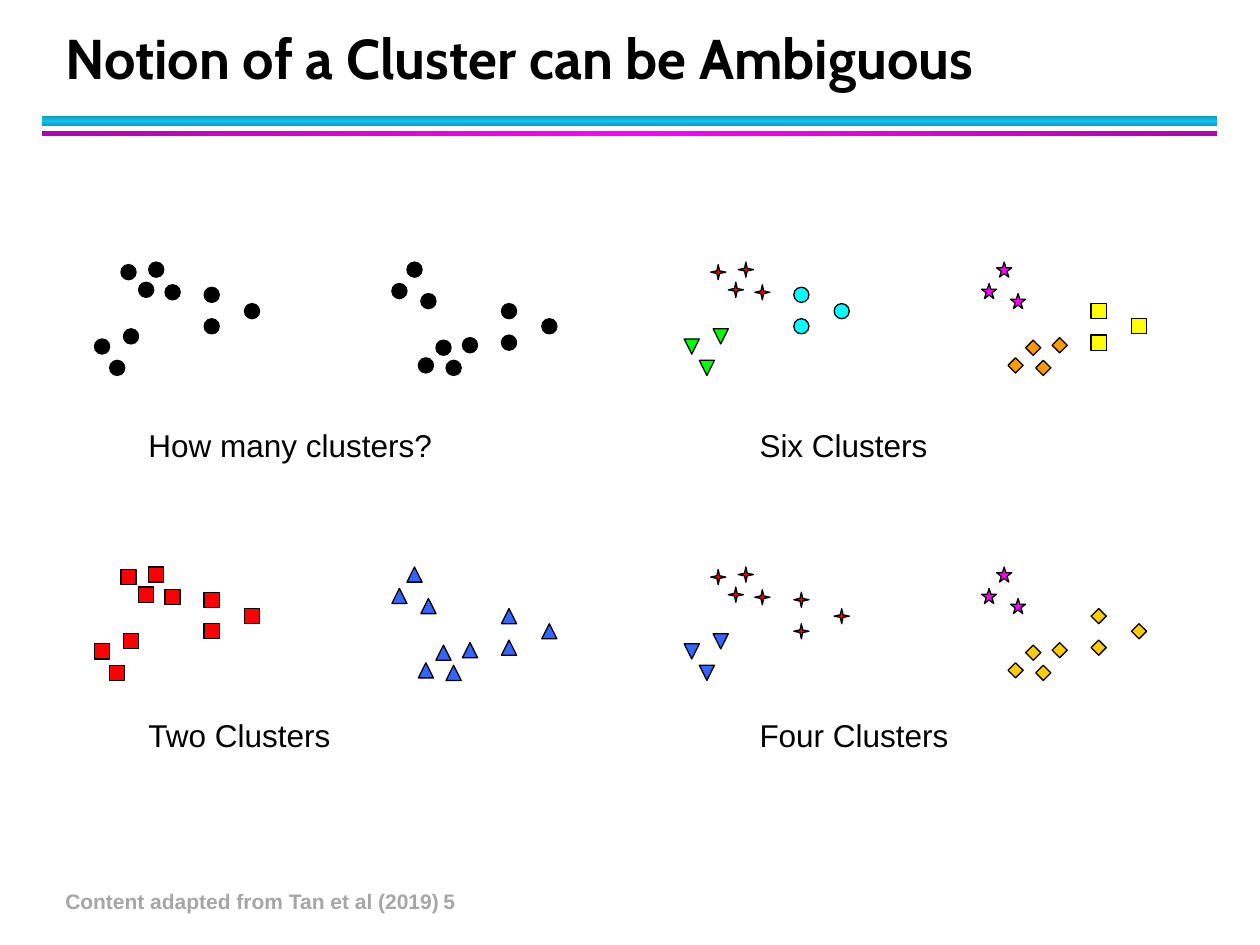
from copy import deepcopy
from pptx import Presentation, util as u
from pptx.dml.color import RGBColor
from pptx.enum import shapes, text
from pptx.oxml.ns import qn

BLACK = RGBColor(0, 0, 0)
GREY = RGBColor(0xA6, 0xA6, 0xA6)
RED = RGBColor(0xFF, 0, 0)
BLUE = RGBColor(0x33, 0x66, 0xFF)
GREEN = RGBColor(0, 0xFF, 0)
CYAN = RGBColor(0, 0xFF, 0xFF)
PINK = RGBColor(0xFF, 0, 0xFF)
YELLOW = RGBColor(0xFF, 0xFF, 0)
ORANGE = RGBColor(0xFF, 0x99, 0)
GOLD = RGBColor(0xFF, 0xCC, 0)
TEAL = RGBColor(0x0E, 0x9B, 0xBA)
SKY = RGBColor(0x12, 0xC2, 0xE9)
PLUM = RGBColor(0xB2, 0, 0xB2)

FORM = shapes.MSO_SHAPE
DOT = 0.12
SHIFT, DROP = 2.36, 0.78
COLS, ROWS = (0.75, 5.43), (2.08, 4.5)
BLOBS = (
    ((0.56, 0.18), (0.21, 0.02), (0.43, 0), (0.35, 0.16)),
    ((0.23, 0.53), (0, 0.61), (0.12, 0.78)),
    ((0.87, 0.2), (1.19, 0.33), (0.87, 0.45)),
)

BALL = (FORM.OVAL, BLACK, 0)
BOX = (FORM.RECTANGLE, RED, 0)
PEAK = (FORM.ISOSCELES_TRIANGLE, BLUE, 0)
SPARK = (FORM.STAR_4_POINT, RED, 0)
STAR = (FORM.STAR_5_POINT, PINK, 0)
GEM = (FORM.DIAMOND, GOLD, 0)

PANELS = (
    (0, 0, "How many clusters?", (BALL,) * 3, (BALL,) * 3),
    (1, 0, "Six Clusters",
     (SPARK, (FORM.ISOSCELES_TRIANGLE, GREEN, 180), (FORM.OVAL, CYAN, 0)),
     ((FORM.DIAMOND, ORANGE, 0), STAR, (FORM.RECTANGLE, YELLOW, 0))),
    (0, 1, "Two Clusters", (BOX,) * 3, (PEAK,) * 3),
    (1, 1, "Four Clusters",
     (SPARK, (FORM.FLOWCHART_EXTRACT, BLUE, 180), SPARK), (GEM, STAR, GEM)),
)


def inch(*nums):
    """Turn numbers into inches."""
    return [u.Inches(n) for n in nums]


def label(host, box, words, size, font="Arial", color=BLACK, bold=False):
    """Place one line of text and return its frame."""
    frame = host.add_textbox(*inch(*box)).text_frame
    frame.word_wrap = True
    run = frame.paragraphs[0].add_run()
    run.text = words
    run.font.size, run.font.name = u.Pt(size), font
    run.font.color.rgb, run.font.bold = color, bold
    return frame


def bar(host, box, edge, mid, angle):
    """Draw a bar shaded from its edges to its middle."""
    shape = host.add_shape(FORM.RECTANGLE, *inch(*box))
    shape.shadow.inherit = False
    shape.line.fill.background()
    shape.fill.gradient()
    shape.fill.gradient_angle = angle
    stops = shape._element.spPr.find(".//" + qn("a:gsLst"))
    stops.append(deepcopy(stops[-1]))
    for stop, (at, color) in zip(shape.fill.gradient_stops,
                                 ((0, edge), (0.5, mid), (1, edge))):
        stop.position, stop.color.rgb = at, color


def header(host, x, y, wide):
    """Place the title and the two bars under it."""
    frame = label(host, (x + 0.09, y, 9.06, 0.6),
                  "Notion of a Cluster can be Ambiguous", 32, "Cabin", bold=True)
    frame.vertical_anchor = text.MSO_ANCHOR.BOTTOM
    frame.paragraphs[0].line_spacing = u.Pt(36)
    bar(host, (x, y + 0.75, wide, 0.08), TEAL, SKY, 90)
    bar(host, (x, y + 0.87, wide, 0.04), PLUM, PINK, 0)


def mark(host, x, y, form, color, turn):
    """Draw one data point."""
    shape = host.add_shape(form, *inch(x, y, DOT, DOT))
    shape.shadow.inherit = False
    shape.fill.solid()
    shape.fill.fore_color.rgb = color
    shape.line.color.rgb, shape.line.width = BLACK, u.Pt(0.75)
    shape.rotation = turn


def panel(host, col, row, words, left, right):
    """Draw a cloud of points, its mirrored twin and a caption."""
    x, y = COLS[col], ROWS[row]
    group = host.add_group_shape().shapes
    for blob, near, far in zip(BLOBS, left, right):
        for dx, dy in blob:
            mark(group, x + dx, y + dy, *near)
            mark(group, x + SHIFT + dx, y + DROP - dy, *far)
    label(group, ((1.08, 5.93)[col], (3.33, 5.63)[row], 2.5, 0.4), words, 18)


def main():
    """Build and save the slide."""
    deck = Presentation()
    deck.slide_width, deck.slide_height = inch(10, 7.5)
    host = deck.slides.add_slide(deck.slide_layouts[6]).shapes
    header(host, 0.33, 0.17, 9.33)
    label(host, (0.42, 7, 9.13, 0.3),
          "Content adapted from Tan et al (2019)\t5", 12, color=GREY, bold=True)
    for item in PANELS:
        panel(host, *item)
    deck.save("out.pptx")


main()
